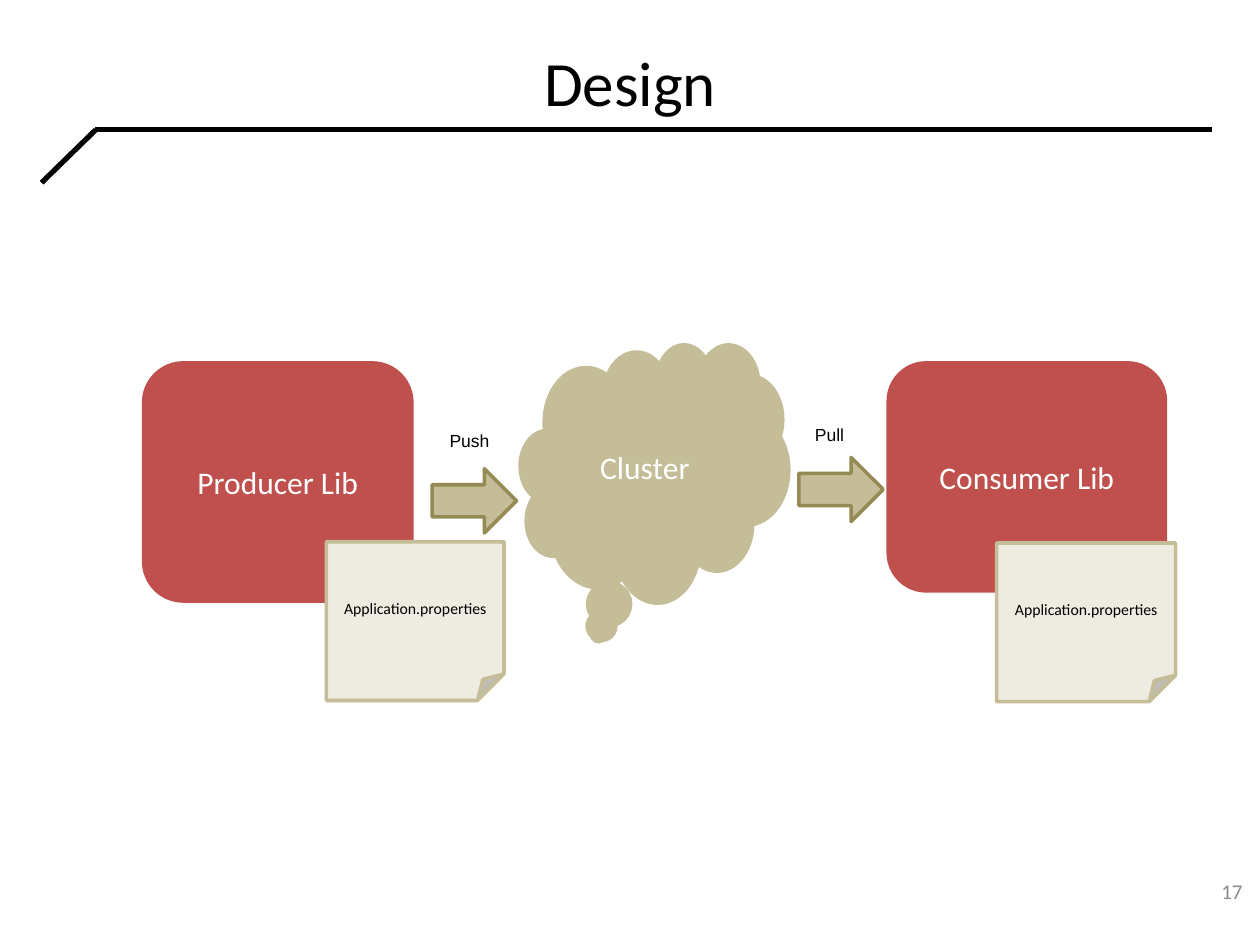
from dataclasses import dataclass

import pptx
import pptx.dml.color
import pptx.enum.shapes
import pptx.enum.text
import pptx.oxml.ns
import pptx.util

SHAPES = pptx.enum.shapes.MSO_SHAPE
ALIGN = pptx.enum.text.PP_ALIGN
ANCHOR = pptx.enum.text.MSO_ANCHOR
COLUMNS, ROWS = 100, 75


@dataclass(frozen=True)
class Theme:
    black: str = "000000"
    white: str = "FFFFFF"
    gray: str = "8C8C8C"
    red: str = "C0504D"
    paper: str = "EEECE1"
    tan: str = "C4BD97"
    dark_tan: str = "948A54"
    heading_font: str = "Calibri"
    label_font: str = "Arial"
    title_size: int = 36
    box_size: int = 18
    number_size: int = 12
    label_size: int = 10
    note_size: int = 9
    outline: int = 2
    rule: int = 3


THEME = Theme()


@dataclass(frozen=True)
class Area:
    """A rectangle in columns and rows of the slide grid."""
    column: float
    row: float
    width: float
    height: float


@dataclass(frozen=True)
class TextStyle:
    size: int
    color: str
    font: str = THEME.heading_font
    align: ALIGN = ALIGN.CENTER
    anchor: ANCHOR = ANCHOR.MIDDLE
    wrap: bool = True


@dataclass(frozen=True)
class Block:
    kind: SHAPES
    area: Area
    fill: str
    line: str
    text: str = ""
    style: TextStyle = TextStyle(THEME.box_size, THEME.white)


@dataclass(frozen=True)
class Label:
    text: str
    area: Area
    style: TextStyle


@dataclass(frozen=True)
class Rule:
    start: tuple[float, float]
    end: tuple[float, float]


NOTE = TextStyle(THEME.note_size, THEME.black)
TITLE = TextStyle(THEME.title_size, THEME.black)
FLOW = TextStyle(THEME.label_size, THEME.black, THEME.label_font,
                 ALIGN.LEFT, ANCHOR.TOP, False)
NUMBER = TextStyle(THEME.number_size, THEME.gray, align=ALIGN.RIGHT)

RULES = [Rule((96.2, 10.3), (7.5, 10.3)), Rule((3.3, 14.5), (7.6, 10.3))]

BLOCKS = [
    Block(SHAPES.ROUNDED_RECTANGLE, Area(11.4, 28.8, 21.3, 18.9),
          THEME.red, THEME.red, "Producer Lib"),
    Block(SHAPES.ROUNDED_RECTANGLE, Area(70.5, 28.8, 22, 18.1),
          THEME.red, THEME.red, "Consumer Lib"),
    Block(SHAPES.FOLDED_CORNER, Area(25.9, 43, 14.1, 12.6),
          THEME.paper, THEME.tan, "Application.properties", NOTE),
    Block(SHAPES.FOLDED_CORNER, Area(79.1, 43.1, 14.2, 12.6),
          THEME.paper, THEME.tan, "Application.properties", NOTE),
    Block(SHAPES.CLOUD_CALLOUT, Area(41.3, 27.3, 21.3, 20.5),
          THEME.tan, THEME.tan, "Cluster"),
    Block(SHAPES.RIGHT_ARROW, Area(34.3, 37.2, 6.7, 5.1),
          THEME.tan, THEME.dark_tan),
    Block(SHAPES.RIGHT_ARROW, Area(63.4, 36.3, 6.7, 5.1),
          THEME.tan, THEME.dark_tan),
]

LABELS = [
    Label("Push", Area(34.7, 33.6, 5.2, 2.7), FLOW),
    Label("Pull", Area(63.7, 33.2, 4.4, 2.7), FLOW),
    Label("17", Area(94.1, 69.8, 5.5, 1.9), NUMBER),
]


def rgb(color: str) -> pptx.dml.color.RGBColor:
    return pptx.dml.color.RGBColor.from_string(color)


def across(columns: float) -> pptx.util.Length:
    return pptx.util.Inches(columns * 10 / COLUMNS)


def down(rows: float) -> pptx.util.Length:
    return pptx.util.Inches(rows * 7.5 / ROWS)


def bounds(area: Area) -> tuple:
    return (across(area.column), down(area.row),
            across(area.width), down(area.height))


def write(shape, text: str, style: TextStyle) -> None:
    frame = shape.text_frame
    frame.text = text
    frame.word_wrap = style.wrap
    frame.vertical_anchor = style.anchor
    frame.auto_size = (pptx.enum.text.MSO_AUTO_SIZE.NONE if style.wrap
                       else pptx.enum.text.MSO_AUTO_SIZE.SHAPE_TO_FIT_TEXT)
    paragraph = frame.paragraphs[0]
    paragraph.alignment = style.align
    for run in paragraph.runs:
        run.font.name = style.font
        run.font.size = pptx.util.Pt(style.size)
        run.font.color.rgb = rgb(style.color)


def draw_title(slide, text: str, area: Area) -> None:
    title = slide.shapes.title
    title.left, title.top, title.width, title.height = bounds(area)
    write(title, text, TITLE)


def draw_rule(slide, rule: Rule) -> None:
    connector = slide.shapes.add_connector(
        pptx.enum.shapes.MSO_CONNECTOR.STRAIGHT,
        across(rule.start[0]), down(rule.start[1]),
        across(rule.end[0]), down(rule.end[1]))
    connector.line.color.rgb = rgb(THEME.black)
    connector.line.width = pptx.util.Pt(THEME.rule)
    properties = connector._element.spPr
    properties.append(properties.makeelement(pptx.oxml.ns.qn("a:effectLst"), {}))


def draw_block(slide, block: Block) -> None:
    shape = slide.shapes.add_shape(block.kind, *bounds(block.area))
    shape.shadow.inherit = False
    shape.fill.solid()
    shape.fill.fore_color.rgb = rgb(block.fill)
    shape.line.color.rgb = rgb(block.line)
    shape.line.width = pptx.util.Pt(THEME.outline)
    if block.text:
        write(shape, block.text, block.style)


def draw_label(slide, label: Label) -> None:
    write(slide.shapes.add_textbox(*bounds(label.area)), label.text, label.style)


def main() -> None:
    presentation = pptx.Presentation()
    presentation.slide_width = across(COLUMNS)
    presentation.slide_height = down(ROWS)
    slide = presentation.slides.add_slide(presentation.slide_layouts[5])
    draw_title(slide, "Design", Area(5, 3, 90, 6.9))
    for rule in RULES:
        draw_rule(slide, rule)
    for block in BLOCKS:
        draw_block(slide, block)
    for label in LABELS:
        draw_label(slide, label)
    presentation.save("out.pptx")


if __name__ == "__main__":
    main()
